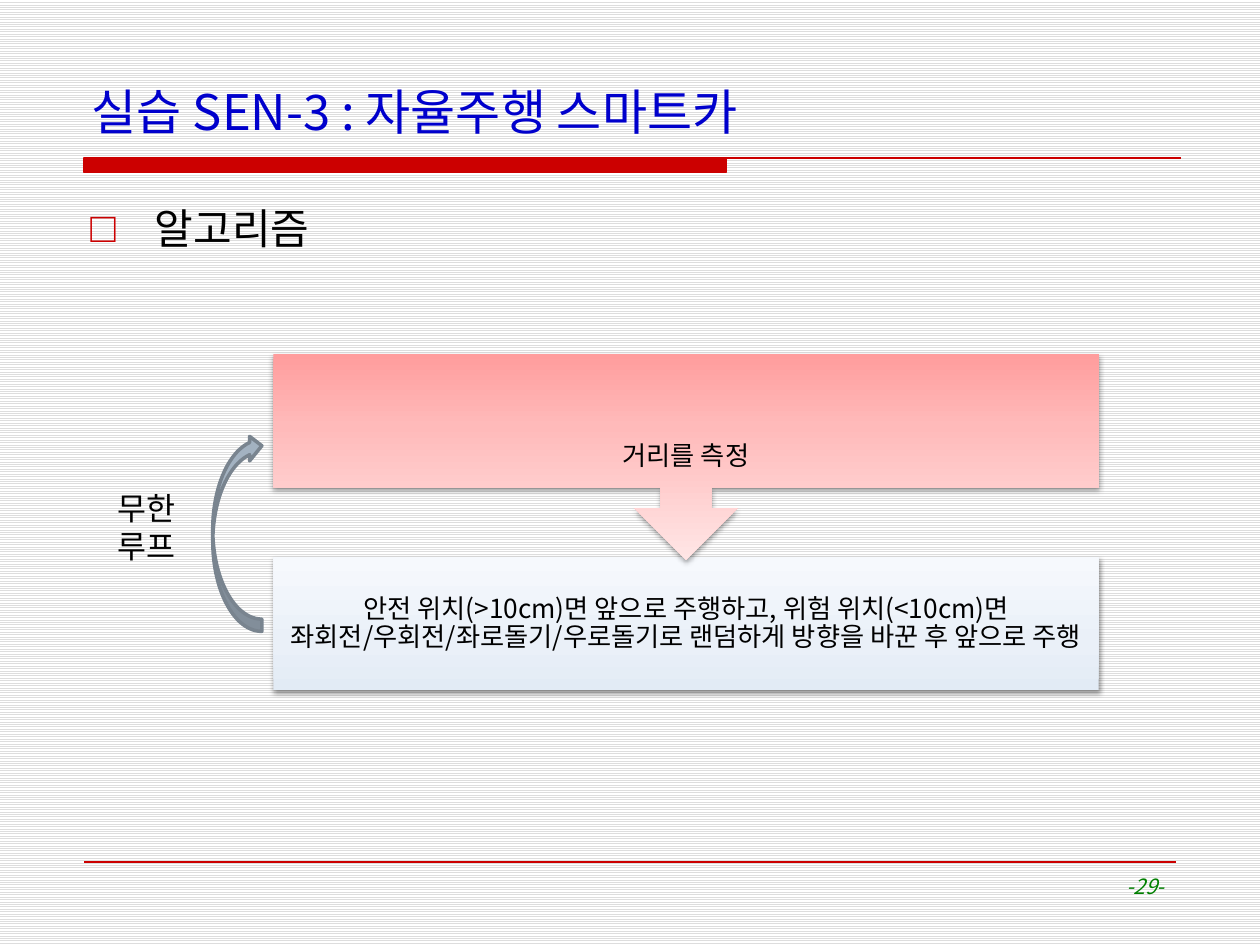
from lxml import etree
from pptx import Presentation
from pptx.dml.color import RGBColor
from pptx.enum import dml, shapes, text
from pptx.oxml.ns import nsdecls, qn
from pptx.util import Cm, Pt

TITLE = "실습 SEN-3 : 자율주행 스마트카"
HEADING = "알고리즘"
LOOP = "무한\n루프"
PAGE = "-29-"
FONT = "Noto Sans CJK KR"

RED = RGBColor(0xCC, 0x00, 0x00)
BLUE = RGBColor(0x00, 0x00, 0xCC)
GREEN = RGBColor(0x00, 0x80, 0x00)
BLACK = RGBColor(0x00, 0x00, 0x00)
WHITE = RGBColor(0xFF, 0xFF, 0xFF)
STRIPE = RGBColor(0xDD, 0xDD, 0xDD)
ARROW_FILL = RGBColor(0xA3, 0xB2, 0xC1)
ARROW_LINE = RGBColor(0x79, 0x84, 0x8F)
PALE_BLUES = [RGBColor.from_string(c) for c in ("E2EBF5", "EAF0F8", "F6F9FD")]
PINKS = [RGBColor.from_string(c) for c in ("FF9D9D", "FFBABA", "FFE5E5")]

STEP_LEFT, STEP_WIDTH = 5.51, 16.64
# shape, rotation, top, height, gradient, wording
STEPS = [
    (shapes.MSO_SHAPE.RECTANGLE, 0, 11.23, 2.69, PALE_BLUES,
     "안전 위치(>10cm)면 앞으로 주행하고, 위험 위치(<10cm)면 "
     "좌회전/우회전/좌로돌기/우로돌기로 랜덤하게 방향을 바꾼 후 앞으로 주행"),
    (shapes.MSO_SHAPE.UP_ARROW_CALLOUT, 180, 7.14, 4.14, PINKS, "거리를 측정"),
]


def box(left, top, width, height):
    """Turn a box given in centimetres into lengths."""
    return Cm(left), Cm(top), Cm(width), Cm(height)


def place(sp, *area):
    """Move and size a placeholder."""
    sp.left, sp.top, sp.width, sp.height = box(*area)


def write(tf, words, size, color, align=text.PP_ALIGN.LEFT, italic=None):
    """Fill a text frame and format its runs."""
    tf.text = words
    for p in tf.paragraphs:
        p.alignment = align
        for r in p.runs:
            r.font.size, r.font.name, r.font.italic = Pt(size), FONT, italic
            r.font.color.rgb = color
            latin = r.font._element.find(qn("a:latin"))
            latin.addnext(etree.Element(qn("a:ea"), typeface=FONT))


def shade(sp, colors):
    """Give a shape a three-stop upward gradient and a soft shadow."""
    stops = "".join(
        f'<a:gs pos="{pos}"><a:srgbClr val="{color}"/></a:gs>'
        for pos, color in zip((0, 35000, 100000), colors))
    sp.line.fill.background()
    spPr = sp.element.spPr
    spPr.find(qn("a:prstGeom")).addnext(etree.fromstring(
        f'<a:gradFill {nsdecls("a")} rotWithShape="1"><a:gsLst>{stops}</a:gsLst>'
        '<a:lin ang="16200000" scaled="1"/></a:gradFill>'))
    spPr.append(etree.fromstring(
        f'<a:effectLst {nsdecls("a")}><a:outerShdw blurRad="{Pt(3.1)}" '
        f'dist="{Pt(1.6)}" dir="5400000" rotWithShape="0"><a:srgbClr val="000000">'
        '<a:alpha val="38000"/></a:srgbClr></a:outerShdw></a:effectLst>'))


def add_step(group, shape, rotation, top, height, colors, words):
    """Add one step of the flow with its wording on top."""
    area = box(STEP_LEFT, top, STEP_WIDTH, height)
    sp = group.shapes.add_shape(shape, *area)
    sp.rotation = rotation
    shade(sp, colors)
    tf = group.shapes.add_textbox(*area).text_frame
    tf.word_wrap = True
    tf.vertical_anchor = text.MSO_ANCHOR.MIDDLE
    tf.margin_left = tf.margin_right = tf.margin_top = tf.margin_bottom = Cm(0.3)
    write(tf, words, 15, BLACK, text.PP_ALIGN.CENTER)
    tf.paragraphs[0].line_spacing = 0.9


def add_rules(s):
    """Draw the title bar and the footer line."""
    left, top, right = Cm(1.7), Cm(3.18), Cm(23.8)
    bar_right, bar_bottom = Cm(14.63), Cm(3.48)
    fb = s.shapes.build_freeform(left, top)
    fb.add_line_segments(
        [(bar_right, top), (bar_right, bar_bottom), (left, bar_bottom)], close=True)
    fb.move_to(left, top)
    fb.add_line_segments([(right, top)], close=False)
    bar = fb.convert_to_shape()
    bar.shadow.inherit = False
    bar.fill.solid()
    bar.fill.fore_color.rgb = RED
    footer = s.shapes.add_connector(
        shapes.MSO_CONNECTOR.STRAIGHT, left, Cm(17.37), Cm(23.7), Cm(17.37))
    etree.SubElement(footer.element.spPr, qn("a:effectLst"))
    for rule in (bar, footer):
        rule.line.color.rgb, rule.line.width = RED, Pt(1)


prs = Presentation()
prs.slide_width, prs.slide_height = Cm(25.4), Cm(19.05)
s = prs.slides.add_slide(prs.slide_layouts[1])
background = s.background.fill
background.patterned()
background.pattern = dml.MSO_PATTERN.LIGHT_HORIZONTAL
background.fore_color.rgb, background.back_color.rgb = STRIPE, WHITE
add_rules(s)

title, body = s.placeholders
place(title, 1.6, 1.35, 22.23, 1.6)
title.text_frame.vertical_anchor = text.MSO_ANCHOR.BOTTOM
write(title.text_frame, TITLE, 28, BLUE)

place(body, 1.57, 3.96, 22.23, 13.36)
write(body.text_frame, HEADING, 24, BLACK)
pPr = body.text_frame.paragraphs[0]._p.get_or_add_pPr()
pPr.set("marL", str(Cm(1.3)))
pPr.set("indent", str(-Cm(1.3)))
bullet_color = etree.SubElement(pPr, qn("a:buClr"))
etree.SubElement(bullet_color, qn("a:srgbClr"), val=str(RED))
etree.SubElement(pPr, qn("a:buChar"), char="□")

flow = s.shapes.add_group_shape()
for step in STEPS:
    add_step(flow, *step)

loop_arrow = s.shapes.add_shape(
    shapes.MSO_SHAPE.CURVED_RIGHT_ARROW, *box(4.29, 8.74, 0.99, 3.99))
loop_arrow.shadow.inherit = False
loop_arrow.element.spPr.xfrm.set("flipV", "1")
loop_arrow.fill.solid()
loop_arrow.fill.fore_color.rgb = ARROW_FILL
loop_arrow.line.color.rgb, loop_arrow.line.width = ARROW_LINE, Pt(2)

loop_tf = s.shapes.add_textbox(*box(2.11, 9.73, 1.8, 1.8)).text_frame
loop_tf.word_wrap = False
loop_tf.auto_size = text.MSO_AUTO_SIZE.SHAPE_TO_FIT_TEXT
write(loop_tf, LOOP, 18, BLACK)

page_tf = s.shapes.add_textbox(*box(18.21, 17.48, 5.51, 1.19)).text_frame
page_tf.word_wrap = True
write(page_tf, PAGE, 12, GREEN, text.PP_ALIGN.RIGHT, italic=True)

prs.save("out.pptx")
